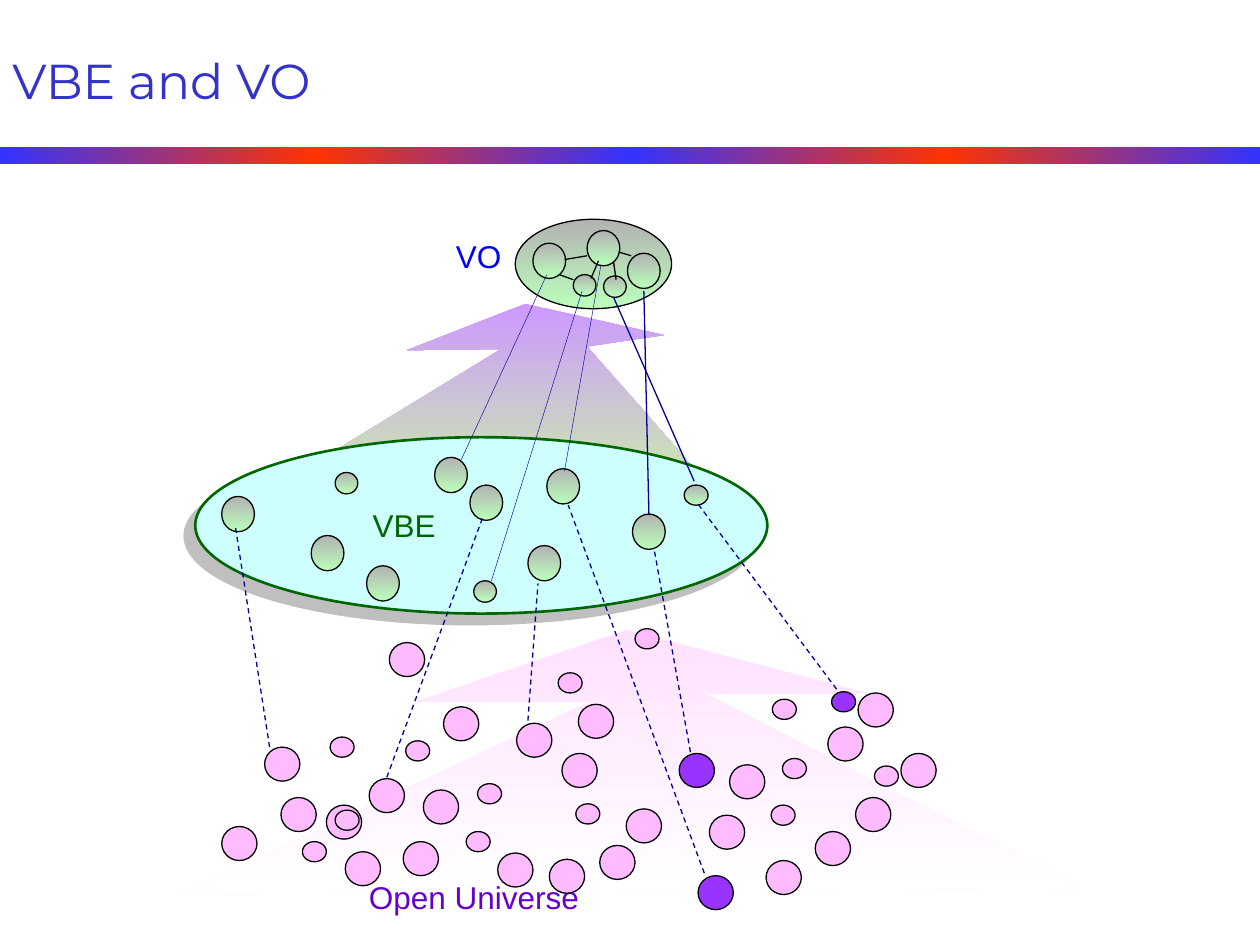
from copy import deepcopy

from lxml import etree
from pptx import Presentation
from pptx.dml.color import RGBColor
from pptx.enum.dml import MSO_LINE
from pptx.enum.shapes import MSO_CONNECTOR, MSO_SHAPE
from pptx.enum.text import MSO_ANCHOR, MSO_AUTO_SIZE
from pptx.oxml.ns import qn
from pptx.util import Inches, Pt

OVAL, RECT = MSO_SHAPE.OVAL, MSO_SHAPE.RECTANGLE
STRAIGHT, DASH = MSO_CONNECTOR.STRAIGHT, MSO_LINE.DASH
MIDDLE, GROW = MSO_ANCHOR.MIDDLE, MSO_AUTO_SIZE.SHAPE_TO_FIT_TEXT
DOWN = 270

COLORS = {
    "title": "3333CC", "bar_blue": "3333FF", "bar_red": "FF3300",
    "violet": "CC99FF", "lime": "CCFF99", "blush": "FFE1FF", "white": "FFFFFF",
    "gray": "B2B2B2", "mint": "BBFFBB", "black": "000000", "link": "000099",
    "vbe": "CDFFFF", "vbe_green": "006600", "shadow": "808080",
    "universe": "FFBBFF", "chosen": "9933FF",
    "vo_label": "0000FF", "universe_label": "6600CC",
}
MEMBER_FILL = ("gray", "mint")

LARGE_MEMBER, SMALL_MEMBER = (0.26, 0.28), (0.18, 0.17)
LARGE_ENTITY, SMALL_ENTITY = (0.28, 0.27), (0.19, 0.16)

VBE_ARROW = [(3.23, 2.78), (4.17, 2.41), (5.27, 2.66), (4.66, 2.75),
             (5.54, 3.75), (1.61, 4.22), (3.98, 2.77)]
UNIVERSE_ARROW = [(3.3, 5.57), (4.97, 5), (6.88, 5.5), (5.61, 5.51),
                  (8.59, 7.05), (1.44, 7.1), (4.68, 5.57)]

VO_LARGE = [(4.23, 1.93), (4.66, 1.83), (4.98, 2.01)]
VO_SMALL = [(4.55, 2.18), (4.79, 2.19)]
VO_LINKS = [((4.48, 2.06), (4.66, 2.03)), ((4.91, 2), (5.01, 2.03)),
            ((4.75, 2.07), (4.69, 2.21)), ((4.44, 2.18), (4.55, 2.22)),
            ((4.87, 2.08), (4.89, 2.22))]

VBE_LARGE = [(5.02, 4.08), (1.76, 3.94), (3.73, 3.85), (3.45, 3.63),
             (2.91, 4.49), (4.19, 4.33), (4.34, 3.72), (2.47, 4.25)]
VBE_SMALL = [(3.76, 4.61), (2.66, 3.75)]
VBE_EDGE = [(5.43, 3.85)]

UNIVERSE_LARGE = [
    (2.74, 6.76), (3.2, 6.68), (2.93, 6.18), (2.1, 5.93), (3.36, 6.27),
    (3.95, 6.77), (4.46, 5.98), (4.97, 6.42), (4.36, 6.82), (5.63, 6.47),
    (5.79, 6.07), (6.81, 5.5), (6.57, 5.77), (6.79, 6.33), (6.47, 6.6),
    (6.08, 6.83), (1.76, 6.56), (2.23, 6.33), (2.59, 6.39), (4.59, 5.59),
    (7.15, 5.98), (4.76, 6.71), (3.52, 5.61), (3.09, 5.1), (4.1, 5.74)]
UNIVERSE_SMALL = [
    (2.66, 6.43), (3.79, 6.22), (3.7, 6.6), (4.57, 6.38), (6.21, 6.02),
    (6.12, 6.39), (6.94, 6.08), (6.13, 5.55), (5.04, 4.99), (2.4, 6.68),
    (4.43, 5.34), (2.62, 5.85), (3.22, 5.88)]
CHOSEN_LARGE = [(5.39, 5.98), (5.54, 6.95)]
CHOSEN_SMALL = [(6.6, 5.49)]

UNIVERSE_TO_VBE = [
    ((5.48, 5.97), (5.19, 4.35)), ((2.14, 5.93), (1.87, 4.19)),
    ((3.07, 6.17), (3.83, 4.11)), ((4.19, 5.72), (4.27, 4.63)),
    ((6.64, 5.47), (5.54, 4)), ((5.59, 6.93), (4.51, 4.01))]
VBE_TO_VO_THIN = [((4.48, 3.74), (4.77, 2.1)), ((3.9, 4.61), (4.62, 2.31)),
                  ((3.66, 3.65), (4.34, 2.18))]
VBE_TO_VO_THICK = [((5.51, 3.82), (4.87, 2.36)), ((5.15, 4.08), (5.11, 2.31))]


def rgb(name):
    return RGBColor.from_string(COLORS[name])


def paint(shape, fill, line=None, width=0.75, angle=DOWN):
    """Fill with one colour name or a tuple of evenly spaced gradient colours."""
    shape.shadow.inherit = False
    if isinstance(fill, str):
        shape.fill.solid()
        shape.fill.fore_color.rgb = rgb(fill)
    else:
        shape.fill.gradient()
        shape.fill.gradient_angle = angle
        stop_list = shape._element.spPr.find(".//" + qn("a:gsLst"))
        for _ in fill[2:]:
            stop_list.append(deepcopy(stop_list[0]))
        for index, (stop, color) in enumerate(zip(shape.fill.gradient_stops, fill)):
            stop.position = index / (len(fill) - 1)
            stop.color.rgb = rgb(color)
    if line:
        shape.line.color.rgb = rgb(line)
        shape.line.width = Pt(width)
    else:
        shape.line.fill.background()


def add_preset(shapes, kind, box, fill, **style):
    shape = shapes.add_shape(kind, *map(Inches, box))
    paint(shape, fill, **style)
    return shape


def add_circles(shapes, corners, size, fill):
    for corner in corners:
        add_preset(shapes, OVAL, corner + size, fill, line="black")


def add_arrow(shapes, points, fill):
    corners = [(Inches(x), Inches(y)) for x, y in points]
    builder = shapes.build_freeform(*corners[0])
    builder.add_line_segments(corners[1:], close=True)
    paint(builder.convert_to_shape(), fill)


def add_links(shapes, links, color, width=0.75, dash=None):
    for start, end in links:
        link = shapes.add_connector(STRAIGHT, *map(Inches, start + end))
        link.line.color.rgb = rgb(color)
        link.line.width = Pt(width)
        if dash:
            link.line.dash_style = dash
        etree.SubElement(link._element.spPr, qn("a:effectLst"))


def add_label(shapes, text, box, color, size=18, font="Arial", wrap=False):
    label = shapes.add_textbox(*map(Inches, box))
    frame = label.text_frame
    frame.text = text
    frame.word_wrap = wrap
    frame.auto_size = GROW
    frame.vertical_anchor = MIDDLE
    run_font = frame.paragraphs[0].runs[0].font
    run_font.name = font
    run_font.size = Pt(size)
    run_font.color.rgb = rgb(color)


def add_soft_shadow(shape, color, distance, direction, opacity):
    """Cast an offset shadow; direction in degrees, opacity in percent."""
    effects = shape._element.spPr.find(qn("a:effectLst"))
    shadow = etree.SubElement(effects, qn("a:outerShdw"), dist=str(Pt(distance)),
                              dir=str(direction * 60000), rotWithShape="0")
    tint = etree.SubElement(shadow, qn("a:srgbClr"), val=COLORS[color])
    etree.SubElement(tint, qn("a:alpha"), val=str(opacity * 1000))


def add_vo(shapes):
    members = shapes.add_group_shape().shapes
    add_preset(members, OVAL, (4.09, 1.74, 1.24, 0.71), MEMBER_FILL, line="black")
    add_circles(members, VO_LARGE, LARGE_MEMBER, MEMBER_FILL)
    add_circles(members, VO_SMALL, SMALL_MEMBER, MEMBER_FILL)
    add_links(members, VO_LINKS, "black")


def add_vbe(shapes):
    vbe = add_preset(shapes, OVAL, (1.55, 3.47, 4.54, 1.4), "vbe",
                     line="vbe_green", width=1.5)
    add_soft_shadow(vbe, "shadow", 8.5, 135, 50)
    add_circles(shapes, VBE_LARGE, LARGE_MEMBER, MEMBER_FILL)
    add_circles(shapes, VBE_SMALL, SMALL_MEMBER, MEMBER_FILL)
    add_circles(shapes, VBE_EDGE, SMALL_ENTITY, MEMBER_FILL)


def add_universe(shapes):
    add_circles(shapes, UNIVERSE_LARGE, LARGE_ENTITY, "universe")
    add_circles(shapes, UNIVERSE_SMALL, SMALL_ENTITY, "universe")
    add_circles(shapes, CHOSEN_LARGE, LARGE_ENTITY, "chosen")
    add_circles(shapes, CHOSEN_SMALL, SMALL_ENTITY, "chosen")


def main():
    deck = Presentation()
    deck.slide_width, deck.slide_height = Inches(10), Inches(7.5)
    shapes = deck.slides.add_slide(deck.slide_layouts[6]).shapes

    for left in (0, 5):
        add_preset(shapes, RECT, (left, 1.17, 5, 0.13),
                   ("bar_blue", "bar_red", "bar_blue"), angle=0)
    add_arrow(shapes, VBE_ARROW, ("violet", "lime"))
    add_arrow(shapes, UNIVERSE_ARROW, ("blush", "white"))
    add_label(shapes, "VO", (3.52, 1.83, 0.56, 0.4), "vo_label")
    add_label(shapes, "Open Universe", (2.83, 6.92, 2.07, 0.4),
              "universe_label", wrap=True)
    add_vo(shapes)
    add_vbe(shapes)
    add_universe(shapes)
    add_links(shapes, UNIVERSE_TO_VBE, "link", dash=DASH)
    add_links(shapes, VBE_TO_VO_THIN, "link", width=0.25)
    add_links(shapes, VBE_TO_VO_THICK, "link")
    add_label(shapes, "VBE", (2.86, 3.97, 0.7, 0.4), "vbe_green")
    add_label(shapes, "VBE and VO", (0, 0.3, 9.78, 0.67), "title",
              size=28, font="Montserrat", wrap=True)
    deck.save("out.pptx")


if __name__ == "__main__":
    main()
